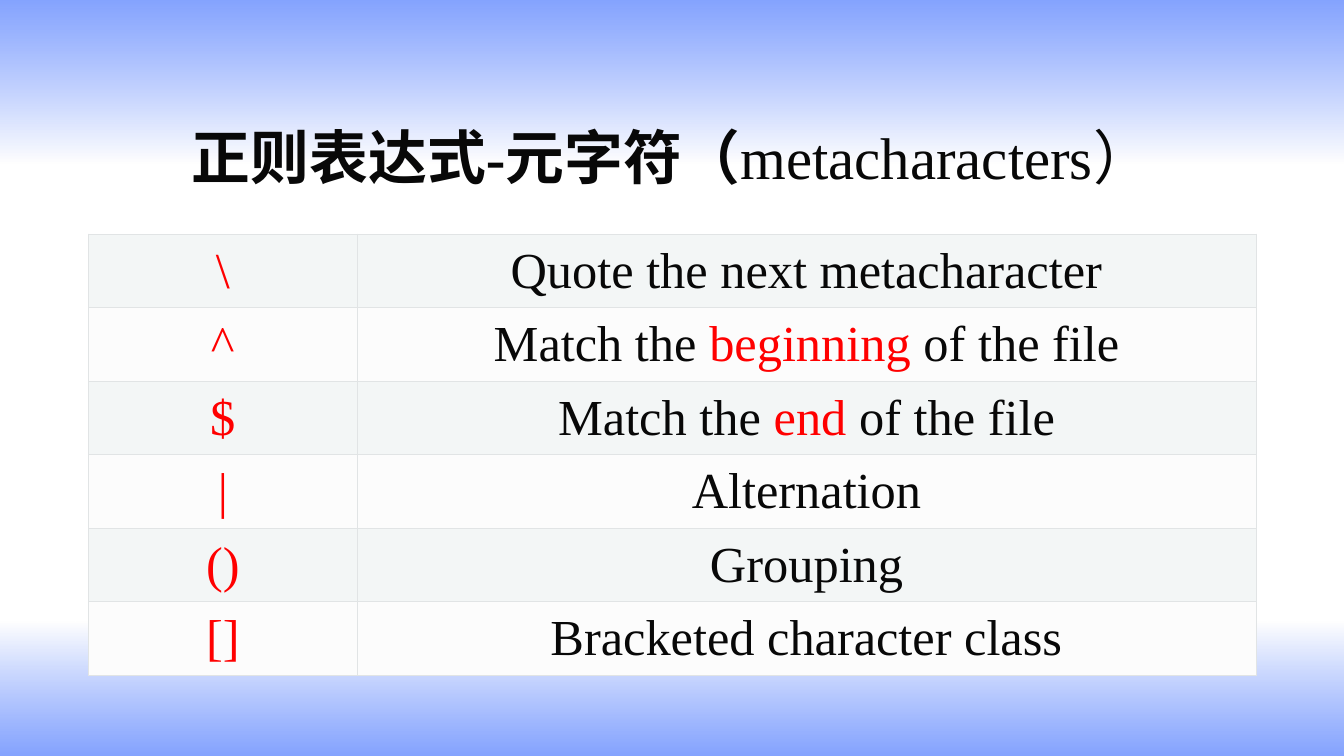
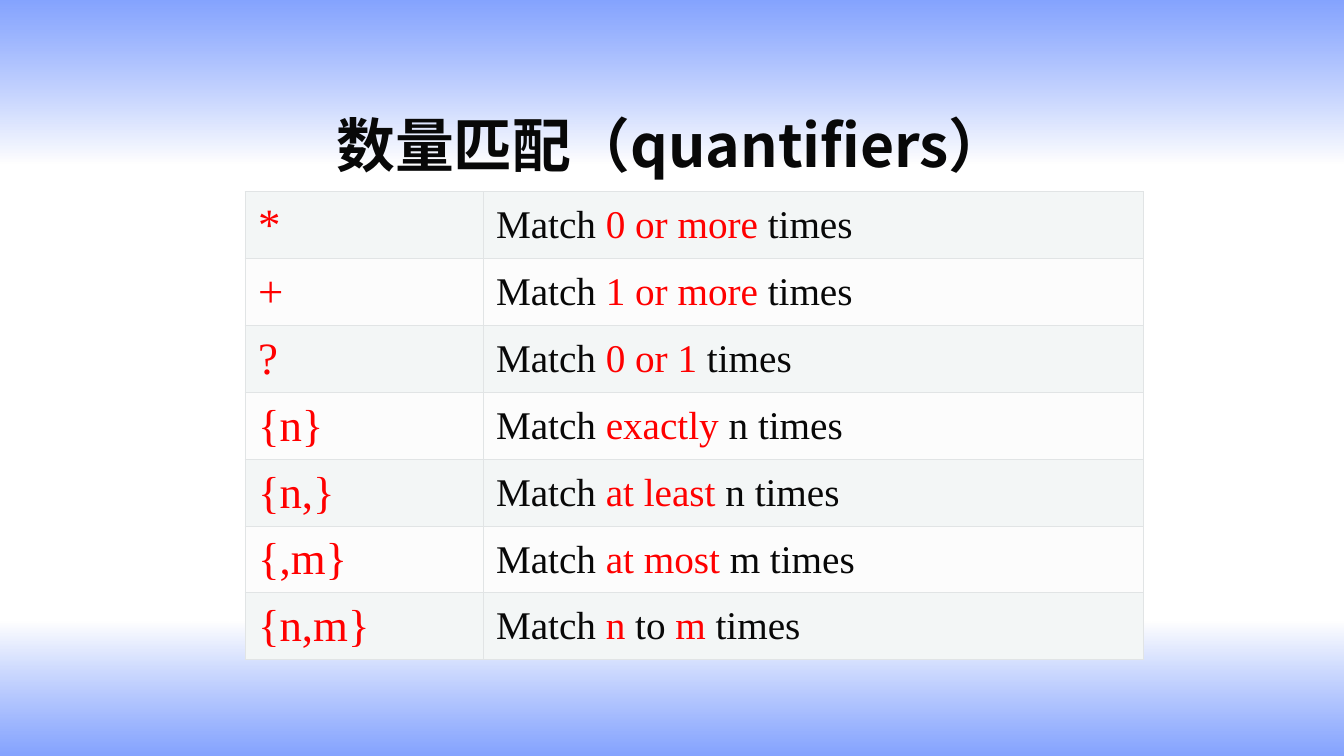
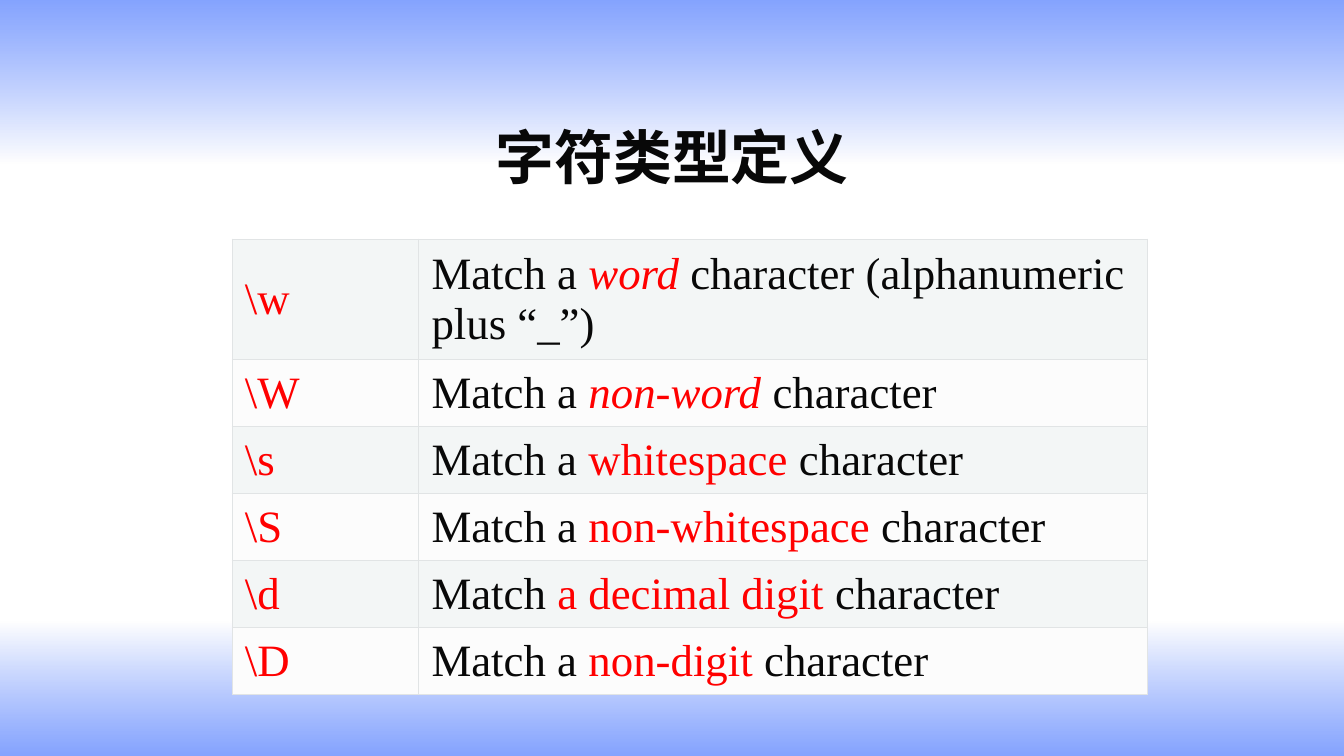
from lxml import etree
from pptx import Presentation
from pptx.dml.color import RGBColor
from pptx.enum.shapes import MSO_SHAPE
from pptx.enum.text import MSO_ANCHOR, PP_ALIGN
from pptx.oxml.ns import qn
from pptx.util import Inches, Pt

RECT = MSO_SHAPE.RECTANGLE
MIDDLE = MSO_ANCHOR.MIDDLE
LEFT, CENTER = PP_ALIGN.LEFT, PP_ALIGN.CENTER

SERIF, SANS = "Times New Roman", "Noto Sans CJK SC"
INK, RED, BORDER = "080808", "FF0000", "E1E4E5"
ROW_FILLS = ["F3F6F6", "FCFCFC"]
WHITE_STOP, BLUE_STOP = ("FFFFFF", 70), ("3366FF", 60)
BANDS = [
    (6.17, 1.33, [WHITE_STOP, BLUE_STOP]),
    (0, 1.62, [BLUE_STOP, WHITE_STOP]),
]

SLIDES = [
    {
        "title": [("正则表达式-元字符（", True), ("metacharacters）", False)],
        "title_font": SERIF, "title_top": 1.07,
        "at": (0.88, 2.32), "cols": (2.66, 8.92), "row_height": 0.69,
        "sizes": (36, 36), "align": CENTER, "italic_rows": 0,
        "rows": [
            ("\\", ["Quote the next metacharacter"]),
            ("^", ["Match the ", "beginning", " of the file"]),
            ("$", ["Match the ", "end", " of the file"]),
            ("|", ["Alternation"]),
            ("()", ["Grouping"]),
            ("[]", ["Bracketed character class"]),
        ],
    },
    {
        "title": [("数量匹配（quantifiers）", True)],
        "title_font": SANS, "title_top": 0.95,
        "at": (2.43, 1.9), "cols": (2.36, 6.55), "row_height": 0.63,
        "sizes": (32, 28), "align": LEFT, "italic_rows": 0,
        "rows": [
            ("*", ["Match ", "0 or more ", "times"]),
            ("+", ["Match ", "1 or more ", "times"]),
            ("?", ["Match ", "0 or 1 ", "times"]),
            ("{n}", ["Match ", "exactly", " n times"]),
            ("{n,}", ["Match ", "at least ", "n times"]),
            ("{,m}", ["Match ", "at most ", "m times"]),
            ("{n,m}", ["Match ", "n", " to ", "m", " times"]),
        ],
    },
    {
        "title": [("字符类型定义", True)],
        "title_font": SANS, "title_top": 1.07,
        "at": (2.3, 2.37), "cols": (1.85, 7.23), "row_height": 0.63,
        "sizes": (32, 32), "align": LEFT, "italic_rows": 2,
        "rows": [
            ("\\w", ["Match a ", "word", " character (alphanumeric plus “_”)"]),
            ("\\W", ["Match a ", "non-word", " character"]),
            ("\\s", ["Match a ", "whitespace", " character"]),
            ("\\S", ["Match a ", "non-whitespace", " character"]),
            ("\\d", ["Match ", "a decimal digit ", "character"]),
            ("\\D", ["Match a ", "non-digit", " character"]),
        ],
    },
]


def rgb(color):
    return RGBColor.from_string(color)


def add_run(p, text, font, size, color, bold=False, italic=False):
    r = p.add_run()
    r.text = text
    r.font.name = font
    r.font.size = Pt(size)
    r.font.bold = bold
    r.font.italic = italic
    r.font.color.rgb = rgb(color)
    ea = etree.Element(qn("a:ea"), typeface=SANS)
    r.font._element.find(qn("a:latin")).addnext(ea)


prs = Presentation()
prs.slide_width, prs.slide_height = Inches(13.33), Inches(7.5)

for data in SLIDES:
    s = prs.slides.add_slide(prs.slide_layouts[6])

    for top, height, stops in BANDS:
        sp = s.shapes.add_shape(RECT, 0, Inches(top), prs.slide_width, Inches(height))
        sp.shadow.inherit = False
        sp.line.fill.background()
        sp.fill.gradient()
        sp.fill.gradient_angle = 270
        for position, (stop, (color, _)) in enumerate(zip(sp.fill.gradient_stops, stops)):
            stop.position = position
            stop.color.rgb = rgb(color)
        for clr, (_, opacity) in zip(sp._element.iter(qn("a:srgbClr")), stops):
            etree.SubElement(clr, qn("a:alpha"), val=str(opacity * 1000))

    tb = s.shapes.add_textbox(Inches(1.31), Inches(data["title_top"]), Inches(10.71), Inches(0.95))
    tf = tb.text_frame
    tf.word_wrap = True
    tf.vertical_anchor = MIDDLE
    p = tf.paragraphs[0]
    p.alignment = CENTER
    for text, bold in data["title"]:
        add_run(p, text, data["title_font"], 42, INK, bold)

    left, top = data["at"]
    rows, cols = data["rows"], data["cols"]
    table = s.shapes.add_table(
        len(rows), len(cols), Inches(left), Inches(top),
        Inches(sum(cols)), Inches(data["row_height"] * len(rows))).table
    table.first_row = table.horz_banding = False
    for column, width in zip(table.columns, cols):
        column.width = Inches(width)

    for i, (symbol, meaning) in enumerate(rows):
        table.rows[i].height = Inches(data["row_height"])
        for j, parts in enumerate([[("", INK), (symbol, RED)][1:],
                                   [(t, RED if k % 2 else INK) for k, t in enumerate(meaning)]]):
            cell = table.cell(i, j)
            cell.vertical_anchor = MIDDLE
            cell.margin_left = cell.margin_right = Inches(0.13)
            cell.margin_top, cell.margin_bottom = Inches(0.07), Inches(0.06)
            tcPr = cell._tc.get_or_add_tcPr()
            for side in ("lnL", "lnR", "lnT", "lnB"):
                ln = etree.SubElement(tcPr, qn("a:" + side), w=str(Pt(0.6)))
                fill = etree.SubElement(ln, qn("a:solidFill"))
                etree.SubElement(fill, qn("a:srgbClr"), val=BORDER)
            cell.fill.solid()
            cell.fill.fore_color.rgb = rgb(ROW_FILLS[i % 2])
            p = cell.text_frame.paragraphs[0]
            p.alignment = data["align"]
            for text, color in parts:
                italic = j == 1 and color == RED and i < data["italic_rows"]
                add_run(p, text, SERIF, data["sizes"][j], color, italic=italic)

prs.save("out.pptx")
